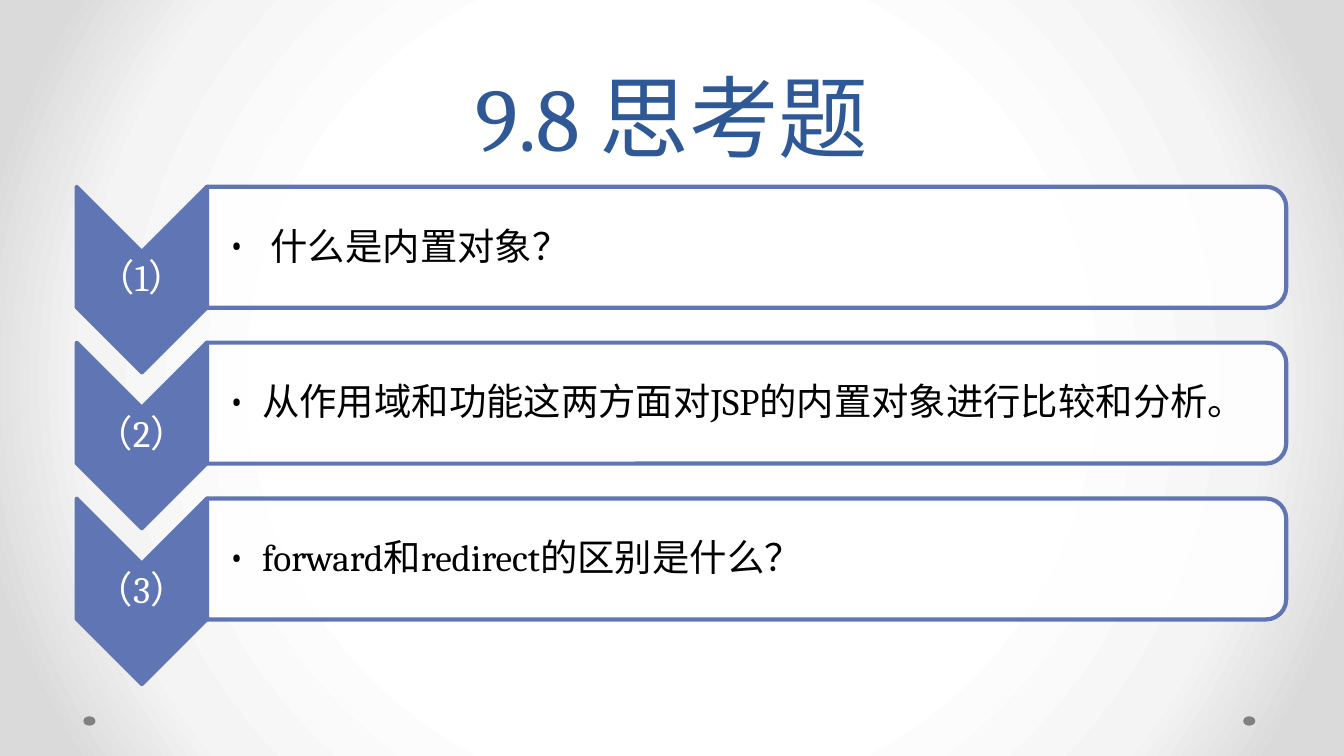
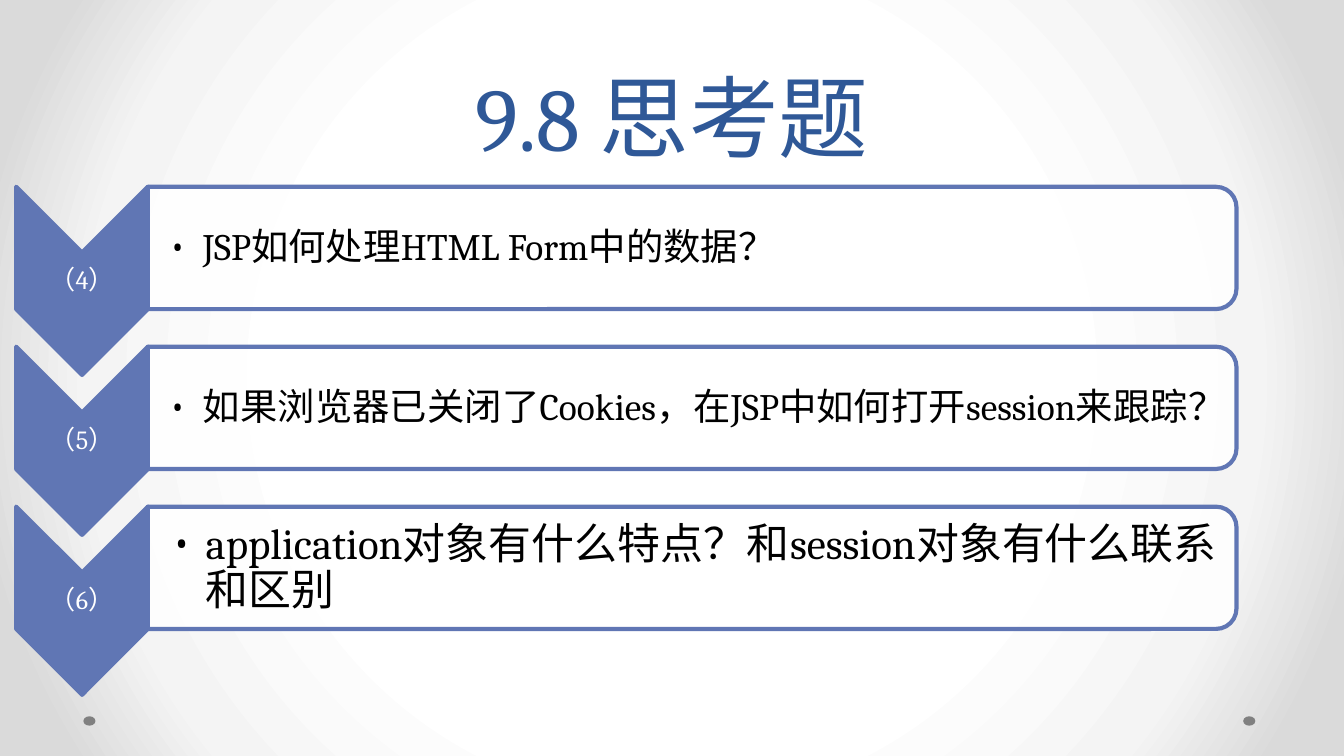
from dataclasses import dataclass

from lxml.etree import SubElement
from pptx import Presentation
from pptx.dml.color import RGBColor
from pptx.enum.shapes import MSO_SHAPE
from pptx.enum.text import MSO_ANCHOR, MSO_AUTO_SIZE, PP_ALIGN
from pptx.oxml import parse_xml
from pptx.oxml.ns import nsdecls, qn
from pptx.shapes.autoshape import Shape
from pptx.shapes.group import GroupShape
from pptx.slide import Slide, SlideMaster
from pptx.text.text import TextFrame
from pptx.util import Inches, Pt

COLORS = {
    "title": "2F5897",
    "accent": "6076B4",
    "white": "FFFFFF",
    "text": "000000",
    "dot": "808080",
}
BACKGROUND_STOPS = {50: "FFFFFF", 76: "F4F4F4", 92: "DADADA"}
FONT = "Cambria"
TITLE = "9.8 思考题"
SLIDE_WIDTH = 10
SLIDE_HEIGHT = SLIDE_WIDTH * 9 / 16


@dataclass
class Question:
    label: str
    text: str
    size: int = 20
    left_inset: float = 0.16
    inset: float = 0.01


@dataclass
class QuestionList:
    """Measures of one chevron list, in inches, with its questions."""
    left: float
    top: float
    pitch: float
    chevron_width: float
    chevron_height: float
    bar_width: float
    bar_height: float
    text_width: float
    label_size: int
    questions: list[Question]


QUESTION_LISTS = [
    QuestionList(0.57, 1.39, 1.16, 0.97, 1.38, 8.03, 0.9, 7.99, 20, [
        Question("（1）", " 什么是内置对象？"),
        Question("（2）", "从作用域和功能这两方面对JSP的内置对象进行比较和分析。"),
        Question("（3）", "forward和redirect的区别是什么？"),
    ]),
    QuestionList(0.12, 1.39, 1.19, 0.98, 1.4, 8.1, 0.91, 8.05, 14, [
        Question("（4）", "JSP如何处理HTML Form中的数据？"),
        Question("（5）", "如果浏览器已关闭了Cookies，在JSP中如何打开session来跟踪？"),
        Question("（6）", "application对象有什么特点？和session对象有什么联系和区别",
                 23, 0.18, 0.02),
    ]),
]


def rgb(name: str) -> RGBColor:
    return RGBColor.from_string(COLORS[name])


def set_text(frame: TextFrame, text: str, size: int, color: str,
             line_spacing: float | Pt, centered: bool = True) -> None:
    frame.word_wrap = True
    frame.auto_size = MSO_AUTO_SIZE.NONE
    paragraph = frame.paragraphs[0]
    paragraph.text = text
    paragraph.alignment = PP_ALIGN.CENTER if centered else PP_ALIGN.LEFT
    paragraph.line_spacing = line_spacing
    paragraph.font.name = FONT
    paragraph.font.size = Pt(size)
    paragraph.font.color.rgb = rgb(color)


def add_bullet(frame: TextFrame) -> None:
    paragraph = frame.paragraphs[0]
    paragraph.level = 1
    properties = paragraph._p.get_or_add_pPr()
    properties.set("marL", str(Inches(0.25)))
    properties.set("indent", str(Inches(-0.25)))
    SubElement(properties, qn("a:buFont"), typeface=FONT)
    SubElement(properties, qn("a:buChar"), char="•")


def add_text_box(group: GroupShape, left: float, top: float, width: float, height: float,
                 left_inset: float = 0.01, inset: float = 0.01) -> TextFrame:
    box = group.shapes.add_textbox(Inches(left), Inches(top), Inches(width), Inches(height))
    frame = box.text_frame
    frame.vertical_anchor = MSO_ANCHOR.MIDDLE
    frame.margin_left = Inches(left_inset)
    frame.margin_top = frame.margin_right = frame.margin_bottom = Inches(inset)
    return frame


def add_turned_shape(group: GroupShape, kind: MSO_SHAPE, left: float, top: float,
                     width: float, height: float, fill: str) -> Shape:
    """Add a shape turned by 90 degrees that covers the given box as seen."""
    shift = (width - height) / 2
    shape = group.shapes.add_shape(kind, Inches(left + shift), Inches(top - shift),
                                   Inches(height), Inches(width))
    shape.rotation = 90
    shape.shadow.inherit = False
    shape.fill.solid()
    shape.fill.fore_color.rgb = rgb(fill)
    shape.line.color.rgb = rgb("accent")
    shape.line.width = Pt(2.25)
    return shape


def add_question(group: GroupShape, layout: QuestionList, index: int,
                 question: Question) -> None:
    top = layout.top + index * layout.pitch
    add_turned_shape(group, MSO_SHAPE.CHEVRON, layout.left, top,
                     layout.chevron_width, layout.chevron_height, "accent")
    label = add_text_box(group, layout.left, top + layout.chevron_width / 2,
                         layout.chevron_width, layout.chevron_height - layout.chevron_width)
    set_text(label, question.label, layout.label_size, "white", 0.9)

    bar_left = layout.left + layout.chevron_width
    bar = add_turned_shape(group, MSO_SHAPE.ROUND_2_SAME_RECTANGLE, bar_left, top,
                           layout.bar_width, layout.bar_height, "white")
    fill_color = bar._element.spPr.find(f"{qn('a:solidFill')}/{qn('a:srgbClr')}")
    SubElement(fill_color, qn("a:alpha"), val="90000")
    body = add_text_box(group, bar_left, top + 0.05, layout.text_width,
                        layout.bar_height - 0.09, question.left_inset, question.inset)
    add_bullet(body)
    set_text(body, question.text, question.size, "text", 0.9, centered=False)


def set_background(master: SlideMaster) -> None:
    stops = "".join(f'<a:gs pos="{position * 1000}"><a:srgbClr val="{color}"/></a:gs>'
                    for position, color in BACKGROUND_STOPS.items())
    gradient = parse_xml(
        f'<a:gradFill {nsdecls("a")} rotWithShape="1"><a:gsLst>{stops}</a:gsLst>'
        '<a:path path="circle"><a:fillToRect l="50000" t="50000" r="50000" b="50000"/>'
        '</a:path></a:gradFill>')
    fill = master.background.fill
    fill.solid()
    solid = master._element.cSld.find(f".//{qn('p:bgPr')}/{qn('a:solidFill')}")
    solid.getparent().replace(solid, gradient)


def add_master_dots(master: SlideMaster, slide: Slide) -> None:
    """Draw the two footer dots and hand them over to the master."""
    for left in (9.25, 0.62):
        dot = slide.shapes.add_shape(MSO_SHAPE.OVAL, Inches(left), Inches(5.33),
                                     Inches(0.09), Inches(0.07))
        dot.shadow.inherit = False
        dot.fill.solid()
        dot.fill.fore_color.rgb = rgb("dot")
        dot.line.fill.background()
        master.shapes._spTree.append(dot._element)


def set_title(slide: Slide) -> None:
    title = slide.shapes.title
    title.left, title.top = Inches(0.5), Inches(0)
    title.width, title.height = Inches(9), Inches(1.31)
    title.text_frame.vertical_anchor = MSO_ANCHOR.BOTTOM
    set_text(title.text_frame, TITLE, 48, "title", Pt(58))


def main() -> None:
    presentation = Presentation()
    presentation.slide_width = Inches(SLIDE_WIDTH)
    presentation.slide_height = Inches(SLIDE_HEIGHT)
    master = presentation.slide_master
    set_background(master)
    for question_list in QUESTION_LISTS:
        slide = presentation.slides.add_slide(presentation.slide_layouts.get_by_name("Title Only"))
        set_title(slide)
        group = slide.shapes.add_group_shape()
        for index, question in enumerate(question_list.questions):
            add_question(group, question_list, index, question)
    add_master_dots(master, presentation.slides[0])
    presentation.save("out.pptx")


if __name__ == "__main__":
    main()
